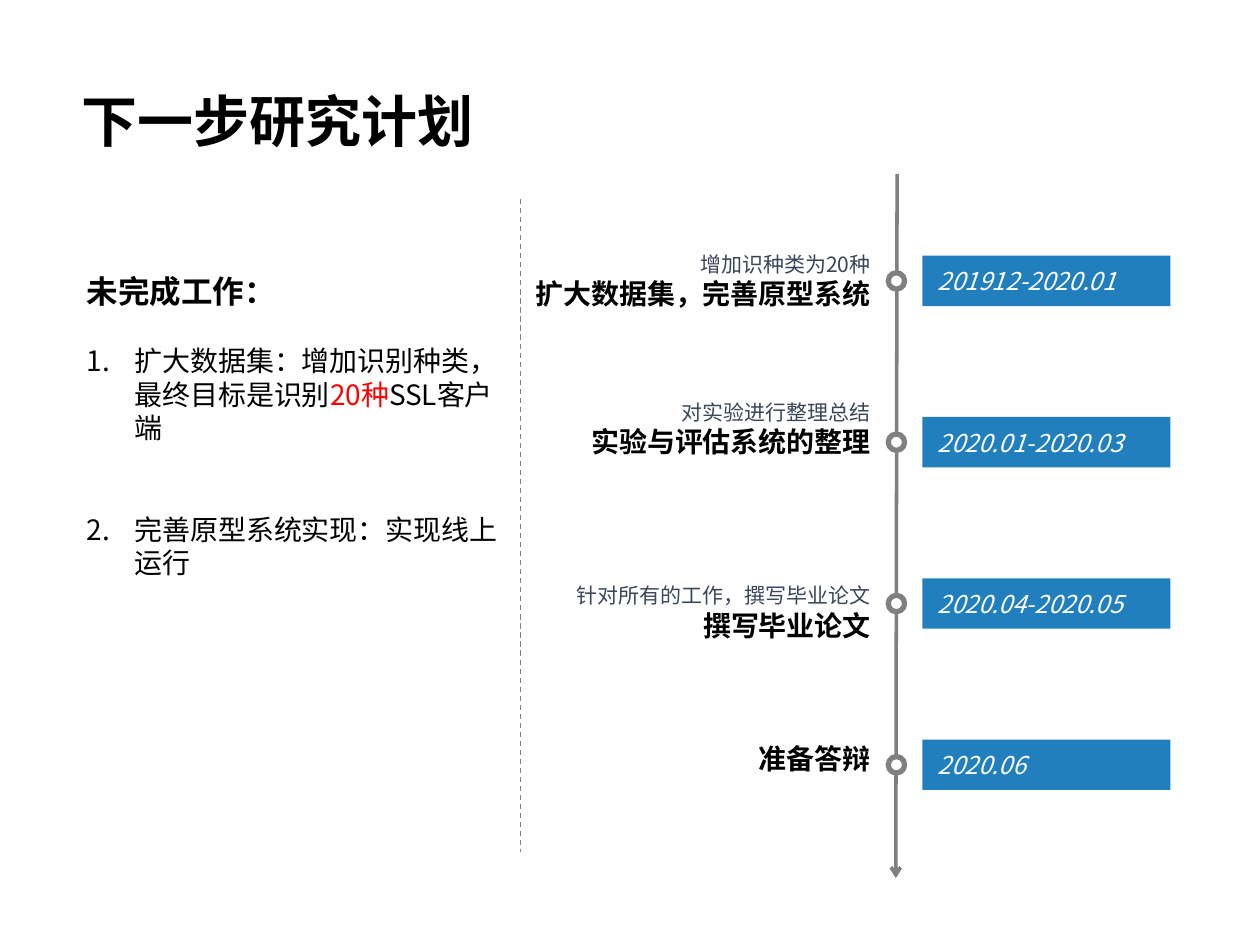
from lxml import etree
from pptx import Presentation
from pptx import util as u
from pptx.dml.color import RGBColor
from pptx.enum import dml, shapes, text
from pptx.oxml.ns import qn

COLOURS = {"black": "000000", "white": "FFFFFF", "blue": "227FBE",
           "grey": "808080", "slate": "394659", "red": "FF0000"}
CJK = "Noto Sans CJK SC"
COLUMNS, ROWS = 100, 75
CELL = u.Inches(0.1)
FIRST_STAGE, STAGE_STEP = 22.3, 12.8
AXIS, DOT = 71.15, 1.3
STAGES = [
    ("201912-2020.01", 22.3, "增加识种类为20种", "扩大数据集，完善原型系统"),
    ("2020.01-2020.03", 34, "对实验进行整理总结", "实验与评估系统的整理"),
    ("2020.04-2020.05", 48.6, "针对所有的工作，撰写毕业论文", "撰写毕业论文"),
    ("2020.06", 60.2, None, "准备答辩"),
]
TASKS = [
    (19.4, [("扩大数据集：增加识别种类，最终目标是识别", "black"),
            ("20种", "red"), ("SSL客户端", "black")]),
    (38.8, [("完善原型系统实现：实现线上运行", "black")]),
]


def grid(*cells):
    """Turn grid columns and rows into slide lengths."""
    return [round(cell * CELL) for cell in cells]


def colour(name):
    """Look up a named colour."""
    return RGBColor.from_string(COLOURS[name])


def style(span, size, ink, bold=False, italic=False, face=CJK):
    """Format one run in both its Latin and East Asian fonts."""
    font = span.font
    font.size, font.bold, font.italic, font.name = u.Pt(size), bold, italic, face
    font.color.rgb = colour(ink)
    etree.SubElement(span._r.get_or_add_rPr(), qn("a:ea")).set("typeface", CJK)


def set_frame(frame, side=0, edge=0, anchor=text.MSO_ANCHOR.MIDDLE):
    """Set wrapping, margins and anchoring of a text frame."""
    frame.word_wrap = True
    frame.margin_left = frame.margin_right = u.Inches(side)
    frame.margin_top = frame.margin_bottom = u.Inches(edge)
    frame.vertical_anchor = anchor


def add_line(page, start, end, width):
    """Draw a plain grey line between two grid points."""
    line = page.shapes.add_connector(
        shapes.MSO_CONNECTOR.STRAIGHT, *grid(*start, *end))
    line.line.color.rgb = colour("grey")
    line.line.width = u.Pt(width)
    etree.SubElement(line._element.spPr, qn("a:effectLst"))
    return line


def add_axis(page):
    """Draw the timeline arrow."""
    axis = add_line(page, (71.2, 13.8), (71.1, 69.7), 2)
    etree.SubElement(axis.line._get_or_add_ln(), qn("a:tailEnd")).set("type", "arrow")


def add_filled(page, kind, place, fill):
    """Add a filled preset shape without shadow or outline."""
    shape = page.shapes.add_shape(kind, *grid(*place))
    shape.shadow.inherit = False
    shape.fill.solid()
    shape.fill.fore_color.rgb = colour(fill)
    shape.line.fill.background()
    return shape


def add_date(page, middle, label):
    """Add a date bar centred on a row."""
    bar = add_filled(page, shapes.MSO_SHAPE.RECTANGLE,
                     (73.2, middle - 2, 19.7, 4), "blue")
    set_frame(bar.text_frame, side=0.12)
    bar.text_frame.text = label
    para = bar.text_frame.paragraphs[0]
    para.alignment = text.PP_ALIGN.LEFT
    style(para.runs[0], 14, "white", italic=True)


def add_dot(page, middle):
    """Add a ring on the timeline."""
    dot = add_filled(page, shapes.MSO_SHAPE.OVAL,
                     (AXIS - DOT / 2, middle - DOT / 2, DOT, DOT), "white")
    dot.line.color.rgb = colour("grey")
    dot.line.width = u.Pt(3)


def add_stage_text(page, middle, note, heading):
    """Add the right-aligned note and heading of a stage."""
    box = page.shapes.add_textbox(*grid(41.3, middle - 4.1, 27.8, 8.2))
    set_frame(box.text_frame)
    box.text_frame.text = "\n".join(filter(None, (note, heading)))
    for para in box.text_frame.paragraphs:
        para.alignment = text.PP_ALIGN.RIGHT
        style(para.runs[0], 12, "slate")
    style(para.runs[0], 16, "black", bold=True)


def add_title(page, label):
    """Add the slide title."""
    box = page.shapes.add_textbox(*grid(-5.1, 6, 54.3, 7.1))
    set_frame(box.text_frame, 0.1, 0.05)
    box.text_frame.text = label
    para = box.text_frame.paragraphs[0]
    para.alignment = text.PP_ALIGN.CENTER
    style(para.runs[0], 32, "black", bold=True, face="Arial")


def add_tasks(page, heading):
    """Add the heading and numbered list of open tasks."""
    box = page.shapes.add_textbox(*grid(5.9, 21.1, 35, 25.6))
    frame = box.text_frame
    set_frame(frame, 0.1, 0.05, text.MSO_ANCHOR.TOP)
    frame.text = heading
    style(frame.paragraphs[0].runs[0], 18, "black", bold=True)
    for gap, spans in TASKS:
        para = frame.add_paragraph()
        para.space_before = u.Pt(gap)
        props = para._p.get_or_add_pPr()
        props.set("marL", str(u.Inches(0.38)))
        props.set("indent", str(-u.Inches(0.38)))
        etree.SubElement(props, qn("a:buFont")).set("typeface", CJK)
        etree.SubElement(props, qn("a:buAutoNum")).set("type", "arabicPeriod")
        for words, ink in spans:
            span = para.add_run()
            span.text = words
            style(span, 16, ink)


def main():
    """Build the research plan slide."""
    deck = Presentation()
    deck.slide_width, deck.slide_height = grid(COLUMNS, ROWS)
    page = deck.slides.add_slide(deck.slide_layouts[6])
    add_title(page, "下一步研究计划")
    divider = add_line(page, (41.3, 15.8), (41.3, 67.6), 0.75)
    divider.line.dash_style = dml.MSO_LINE.DASH
    add_tasks(page, "未完成工作：")
    add_axis(page)
    for index, (date, text_row, note, heading) in enumerate(STAGES):
        middle = FIRST_STAGE + index * STAGE_STEP
        add_date(page, middle, date)
        add_dot(page, middle)
        add_stage_text(page, text_row, note, heading)
    deck.save("out.pptx")


if __name__ == "__main__":
    main()
